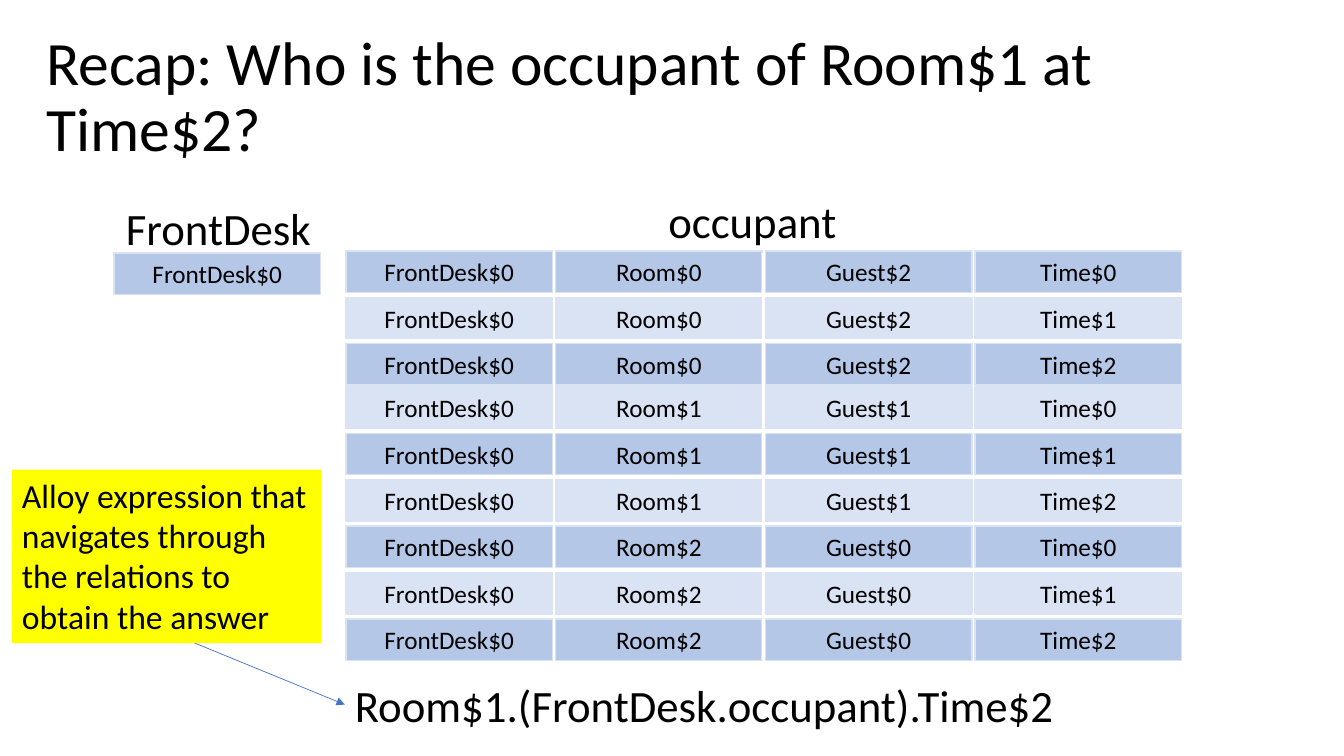
from pptx import Presentation
from pptx.dml.color import RGBColor
from pptx.enum.shapes import MSO_CONNECTOR, MSO_SHAPE
from pptx.enum.text import MSO_ANCHOR, MSO_AUTO_SIZE, PP_ALIGN
from pptx.oxml.ns import qn
from pptx.util import Inches, Pt
from lxml import etree

RECTANGLE = MSO_SHAPE.RECTANGLE
STRAIGHT = MSO_CONNECTOR.STRAIGHT
TOP, MIDDLE = MSO_ANCHOR.TOP, MSO_ANCHOR.MIDDLE
LEFT, CENTER = PP_ALIGN.LEFT, PP_ALIGN.CENTER
GROW, FIXED = MSO_AUTO_SIZE.SHAPE_TO_FIT_TEXT, MSO_AUTO_SIZE.NONE

BLACK = RGBColor(0x00, 0x00, 0x00)
WHITE = RGBColor(0xFF, 0xFF, 0xFF)
YELLOW = RGBColor(0xFF, 0xFF, 0x00)
BLUE = RGBColor(0x44, 0x72, 0xC4)
DARK_BAND = RGBColor(0xB4, 0xC7, 0xE7)
LIGHT_BAND = RGBColor(0xDA, 0xE3, 0xF3)

deck = Presentation()
deck.slide_width = Inches(13.33)
deck.slide_height = Inches(7.5)
page = deck.slides.add_slide(deck.slide_layouts[6])


def add_text(text, left, top, width, height, size=32, fill=None, line=None,
             align=LEFT, anchor=TOP, wrap=True, resize=GROW, spacing=None):
    area = [Inches(length) for length in (left, top, width, height)]
    if fill is None:
        box = page.shapes.add_textbox(*area)
    else:
        box = page.shapes.add_shape(RECTANGLE, *area)
        box.shadow.inherit = False
        box.fill.solid()
        box.fill.fore_color.rgb = fill
        if line is None:
            box.line.fill.background()
        else:
            box.line.color.rgb = line
            box.line.width = Pt(1)
    frame = box.text_frame
    frame.word_wrap = wrap
    frame.auto_size = resize
    frame.vertical_anchor = anchor
    para = frame.paragraphs[0]
    para.alignment = align
    para.line_spacing = spacing
    span = para.add_run()
    span.text = text
    span.font.name = "Calibri"
    span.font.size = Pt(size)
    span.font.color.rgb = BLACK
    return box


def add_line(start, end, color, weight):
    line = page.shapes.add_connector(
        STRAIGHT, *[Inches(length) for length in start + end])
    line.line.color.rgb = color
    line.line.width = Pt(weight)
    etree.SubElement(line._element.spPr, qn("a:effectLst"))
    return line


add_text("Recap: Who is the occupant of Room$1 at Time$2?", 0.36, 0.25, 12.76, 1.45,
         size=44, anchor=MIDDLE, resize=FIXED, spacing=0.9)
add_text("occupant", 6.53, 1.87, 2.24, 0.64)
add_text("FrontDesk", 1.15, 1.94, 2.24, 0.64)
expression = add_text("Room$1.(FrontDesk.occupant).Time$2", 3.42, 6.67, 7.21, 0.64,
                      wrap=False)

CELL_WIDTH, CELL_HEIGHT = 2.05, 0.41
COLUMN_LEFT, COLUMN_STEP, ROW_STEP = 3.43, 2.08, 0.46
cell_format = dict(size=18, line=LIGHT_BAND, align=CENTER, anchor=MIDDLE, resize=FIXED)

add_text("FrontDesk$0", 1.13, 2.51, CELL_WIDTH, CELL_HEIGHT, fill=DARK_BAND, **cell_format)

room_groups = [("Room$0", "Guest$2", 2.49), ("Room$1", "Guest$1", 3.84),
               ("Room$2", "Guest$0", 5.22)]
for group, (room, guest, group_top) in enumerate(room_groups):
    for time in range(3):
        band = LIGHT_BAND if (group * 3 + time) % 2 else DARK_BAND
        for column, value in enumerate(("FrontDesk$0", room, guest, f"Time${time}")):
            add_text(value, COLUMN_LEFT + column * COLUMN_STEP, group_top + time * ROW_STEP,
                     CELL_WIDTH, CELL_HEIGHT, fill=band, **cell_format)

arrow = add_line((1.86, 6.35), (3.42, 6.99), BLUE, 0.5)
arrow.end_connect(expression, 1)
outline = arrow.line._get_or_add_ln()
etree.SubElement(outline, qn("a:tailEnd"), type="triangle")

add_text("Alloy expression that navigates through the relations to obtain the answer",
         0.12, 4.66, 3.07, 1.72, size=24, fill=YELLOW)
add_line((7.57, 2.51), (7.57, 6.55), WHITE, 2.25)

deck.save("out.pptx")
